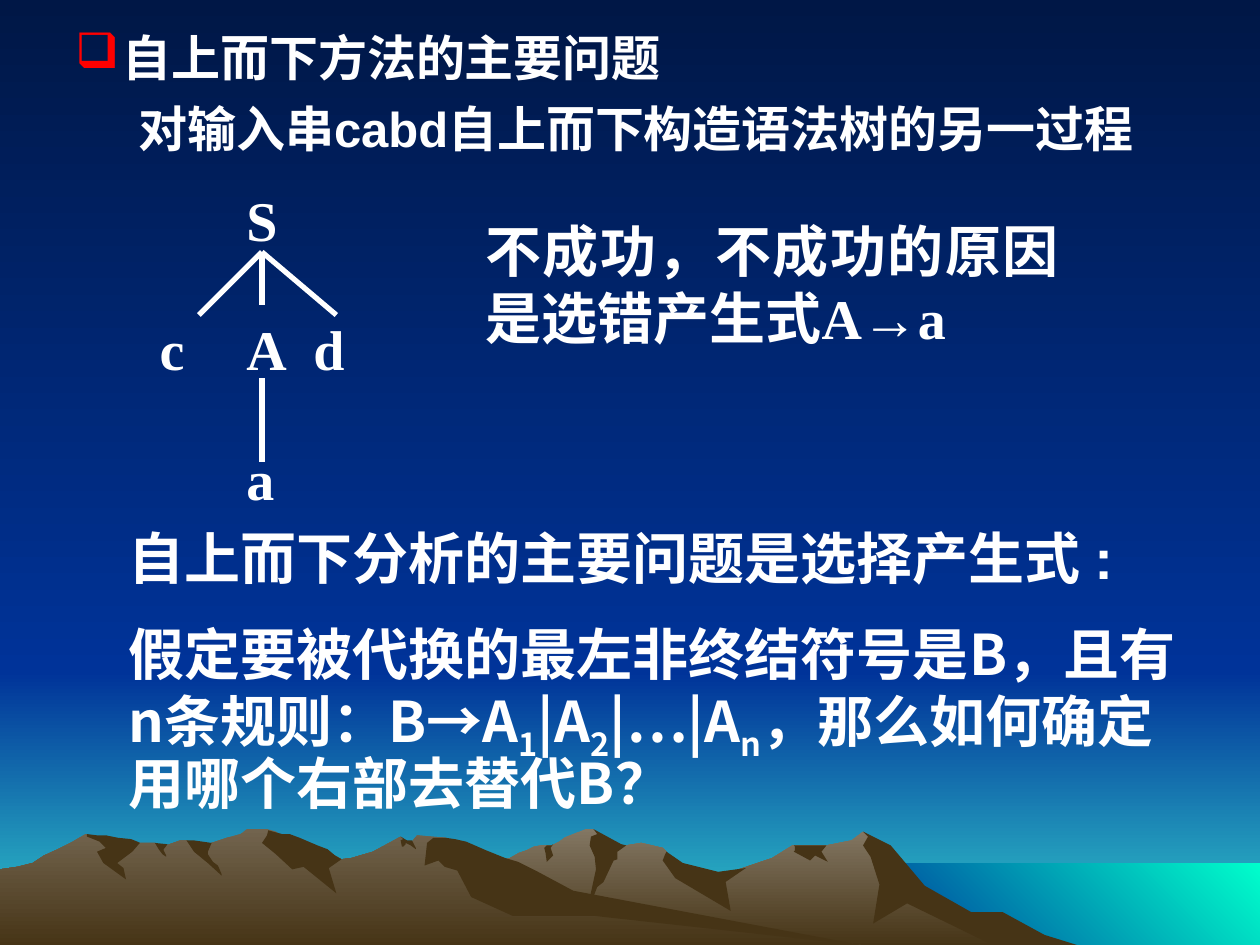
from lxml.etree import SubElement
from pptx import Presentation
from pptx.dml.color import RGBColor as Rgb
from pptx.enum.shapes import MSO_CONNECTOR as Link, MSO_SHAPE as Preset
from pptx.enum.text import PP_ALIGN as Align
from pptx.oxml.ns import qn
from pptx.util import Cm, Pt

WHITE = Rgb(0xFF, 0xFF, 0xFF)
RED = Rgb(0xFF, 0x00, 0x00)
NIGHT = Rgb(0x00, 0x17, 0x46)
BLUE = Rgb(0x00, 0x33, 0x99)
HAZE = Rgb(0x33, 0xCC, 0xCC)
AQUA = Rgb(0x00, 0xFF, 0xCC)
STONE = Rgb(0x83, 0x77, 0x63)
EARTH = Rgb(0x72, 0x64, 0x4E)
SHADE = Rgb(0x46, 0x34, 0x16)
SERIF, SANS, HAN = "Times New Roman", "Arial", "Noto Sans CJK SC"
DOWN, DOWN_LEFT = 270, 225
GRID = Cm(2.54) / 100

RIGHT_RANGE = [
    (802, 740), (778, 727), (764, 723), (723, 698), (702, 671), (685, 660), (676, 667),
    (656, 671), (629, 671), (613, 681), (566, 697), (536, 690), (529, 676), (526, 673),
    (509, 669), (497, 671), (486, 673), (474, 661), (471, 658), (465, 658), (450, 664),
    (448, 665), (444, 668), (438, 671), (430, 671), (424, 672), (418, 675), (412, 677),
    (405, 681), (399, 683), (394, 685), (355, 698), (327, 709), (277, 739), (258, 751),
    (821, 751)]
RIGHT_SHADOWS = [
    [(796, 724), (771, 724), (734, 703), (707, 671), (685, 660), (689, 664), (685, 671),
     (691, 680), (698, 702), (693, 733), (720, 717), (792, 752), (858, 751), (829, 742)],
    [(471, 658), (474, 662), (469, 664), (468, 671), (472, 680), (473, 690), (465, 727),
     (474, 704), (479, 700), (487, 683), (490, 682), (490, 676), (497, 671), (493, 670)],
    [(529, 676), (528, 678), (526, 683), (536, 697), (580, 723), (576, 700), (592, 689),
     (570, 692), (542, 685)],
    [(650, 671), (630, 671), (631, 672), (631, 675), (630, 676), (643, 683), (647, 679),
     (657, 684), (652, 676), (656, 671)],
    [(433, 677), (432, 673), (434, 671), (438, 671), (439, 670), (437, 673), (439, 679),
     (434, 684)]]
LEFT_RANGE = [
    (690, 751), (667, 748), (432, 712), (354, 665), (331, 663), (327, 668), (323, 668),
    (318, 664), (296, 676), (279, 681), (271, 682), (260, 676), (236, 681), (223, 663),
    (219, 660), (212, 658), (196, 658), (191, 662), (180, 665), (168, 669), (160, 671),
    (148, 667), (143, 667), (132, 671), (128, 671), (123, 669), (111, 669), (94, 671),
    (68, 662), (56, 669), (46, 674), (35, 679), (26, 685), (14, 688), (0, 690), (0, 751)]
LEFT_SHADOWS = [
    [(212, 663), (208, 669), (219, 678), (232, 690), (241, 688), (267, 709), (261, 689),
     (271, 682), (266, 679), (260, 674), (252, 671), (238, 665), (230, 662), (224, 662),
     (213, 659)],
    [(370, 668), (361, 666), (354, 665), (344, 665), (339, 669), (337, 687), (348, 683),
     (353, 688), (363, 691), (374, 712), (407, 727), (472, 727), (690, 751), (683, 750),
     (455, 707), (427, 692), (411, 684), (401, 681), (386, 675)],
    [(318, 667), (320, 666), (318, 664), (323, 667), (327, 667), (330, 673), (330, 674),
     (326, 671), (322, 669), (322, 670), (320, 672), (319, 672)],
    [(154, 667), (161, 668), (168, 669), (165, 676), (165, 678), (169, 684), (173, 687),
     (176, 694), (176, 695), (165, 685), (154, 676), (148, 667)],
    [(133, 670), (130, 674), (130, 675), (132, 679), (132, 680), (129, 678), (126, 674),
     (123, 669)],
    [(109, 668), (111, 669), (105, 676), (93, 685), (98, 689), (100, 698), (82, 685),
     (77, 676), (84, 673), (79, 668), (69, 664), (69, 662), (77, 663), (84, 663),
     (94, 665), (104, 666)]]


class SlideWriter:
    def __init__(self, page):
        self.page = page
        self.base = {"size": Pt(32), "bold": True, "name": SERIF}

    def shade(self, fill, colours, angle=DOWN):
        if len(colours) == 1:
            fill.solid()
            fill.fore_color.rgb = colours[0]
            return
        fill.gradient()
        fill.gradient_angle = angle
        for stop, colour in zip(fill.gradient_stops, colours):
            stop.color.rgb = colour

    def finish(self, shape, colours, angle=DOWN):
        shape.shadow.inherit = False
        shape.line.fill.background()
        self.shade(shape.fill, colours, angle)

    def band(self, left, top, width, height, colours, angle=DOWN):
        shape = self.page.shapes.add_shape(
            Preset.RECTANGLE, Cm(left), Cm(top), Cm(width), Cm(height))
        self.finish(shape, colours, angle)

    def outline(self, points, *colours):
        builder = self.page.shapes.build_freeform(*points[0], scale=GRID)
        builder.add_line_segments(points[1:], close=True)
        self.finish(builder.convert_to_shape(), colours)

    def text(self, left, top, width, height):
        box = self.page.shapes.add_textbox(Cm(left), Cm(top), Cm(width), Cm(height))
        box.text_frame.word_wrap = True
        return box.text_frame

    def para(self, para, spans, margin=0, indent=0, bullet=None, **layout):
        for key, value in layout.items():
            setattr(para, key, value)
        props = para._p.get_or_add_pPr()
        props.set("marL", str(Cm(margin)))
        props.set("indent", str(Cm(indent)))
        if bullet:
            colour = SubElement(props, qn("a:buClr"))
            SubElement(colour, qn("a:srgbClr")).set("val", str(RED))
            SubElement(props, qn("a:buChar")).set("char", bullet)
        for words, changes in spans:
            self.span(para, words, **changes)

    def span(self, para, words, baseline=0, **changes):
        span = para.add_run()
        span.text = words
        for key, value in {**self.base, **changes}.items():
            setattr(span.font, key, value)
        span.font.color.rgb = WHITE
        props = span._r.get_or_add_rPr()
        SubElement(props, qn("a:ea")).set("typeface", HAN)
        if baseline:
            props.set("baseline", str(baseline))

    def node(self, left, top, label):
        frame = self.text(left, top, 1.32, 1.96)
        self.para(frame.paragraphs[0], [(label, {})], alignment=Align.JUSTIFY)

    def branch(self, *ends):
        line = self.page.shapes.add_connector(Link.STRAIGHT, *map(Cm, ends))
        line.line.color.rgb = WHITE
        line.line.width = Pt(3)
        SubElement(line._element.spPr, qn("a:effectLst"))


def draw_landscape(writer):
    writer.shade(writer.page.background.fill, (NIGHT, BLUE))
    writer.band(0, 13.54, 25.4, 5.51, (BLUE, HAZE))
    writer.band(0, 0, 25.4, 13.54, (NIGHT, BLUE))
    writer.band(17.35, 17.4, 8.05, 1.65, (AQUA, BLUE), DOWN_LEFT)
    writer.outline(RIGHT_RANGE, STONE, SHADE)
    for shadow in RIGHT_SHADOWS:
        writer.outline(shadow, SHADE)
    writer.outline(LEFT_RANGE, EARTH, SHADE)
    for shadow in LEFT_SHADOWS:
        writer.outline(shadow, SHADE)


def draw_text(writer):
    heading = writer.text(1.27, 0.43, 22.86, 3.38)
    size = {"size": Pt(28)}
    writer.para(heading.paragraphs[0], [("自上而下方法的主要问题", size)],
                margin=0.95, indent=-0.95, bullet="❑")
    writer.para(heading.add_paragraph(), [
        ("对输入串", size), ("cabd", {**size, "name": SANS}),
        ("自上而下构造语法树的另一过程", size)],
        margin=2.06, indent=-0.79, space_before=Pt(7))

    reason = writer.text(9.53, 4.24, 12.07, 3.38)
    writer.para(reason.paragraphs[0], [("不成功，不成功的原因是选错产生式A→a", {})],
                alignment=Align.JUSTIFY)

    question = writer.text(1.07, 10.59, 23.5, 6.02)
    han = {"name": HAN}
    low = {"name": HAN, "baseline": -25000}
    writer.para(question.paragraphs[0], [
        ("自上而下分析的主要问题是选择产生式 ", {}), (":", {"name": SANS})],
        margin=1.27, line_spacing=0.9)
    writer.para(question.add_paragraph(), [
        ("假定要被代换的最左非终结符号是B，且有n条规则：B→A", han), ("1", low),
        ("|A", han), ("2", low), ("|…|A", han), ("n", low),
        ("，那么如何确定用哪个右部去替代B？", han)],
        margin=1.27, line_spacing=0.9, space_before=Pt(20))


def draw_tree(writer):
    top, step = 3.61, 2.61
    for left, level, label in [(4.72, 0, "S"), (2.97, 1, "c"), (4.72, 1, "A"),
                               (6.07, 1, "d"), (4.72, 2, "a")]:
        writer.node(left, top + level * step, label)
    for end in [(4.01, 6.35), (5.28, 6.15), (6.78, 6.35)]:
        writer.branch(5.28, 5.08, *end)
    writer.branch(5.28, 7.62, 5.28, 9.32)


def main():
    deck = Presentation()
    deck.slide_width, deck.slide_height = Cm(25.4), Cm(19.05)
    writer = SlideWriter(deck.slides.add_slide(deck.slide_layouts[6]))
    draw_landscape(writer)
    draw_text(writer)
    draw_tree(writer)
    deck.save("out.pptx")


if __name__ == "__main__":
    main()
